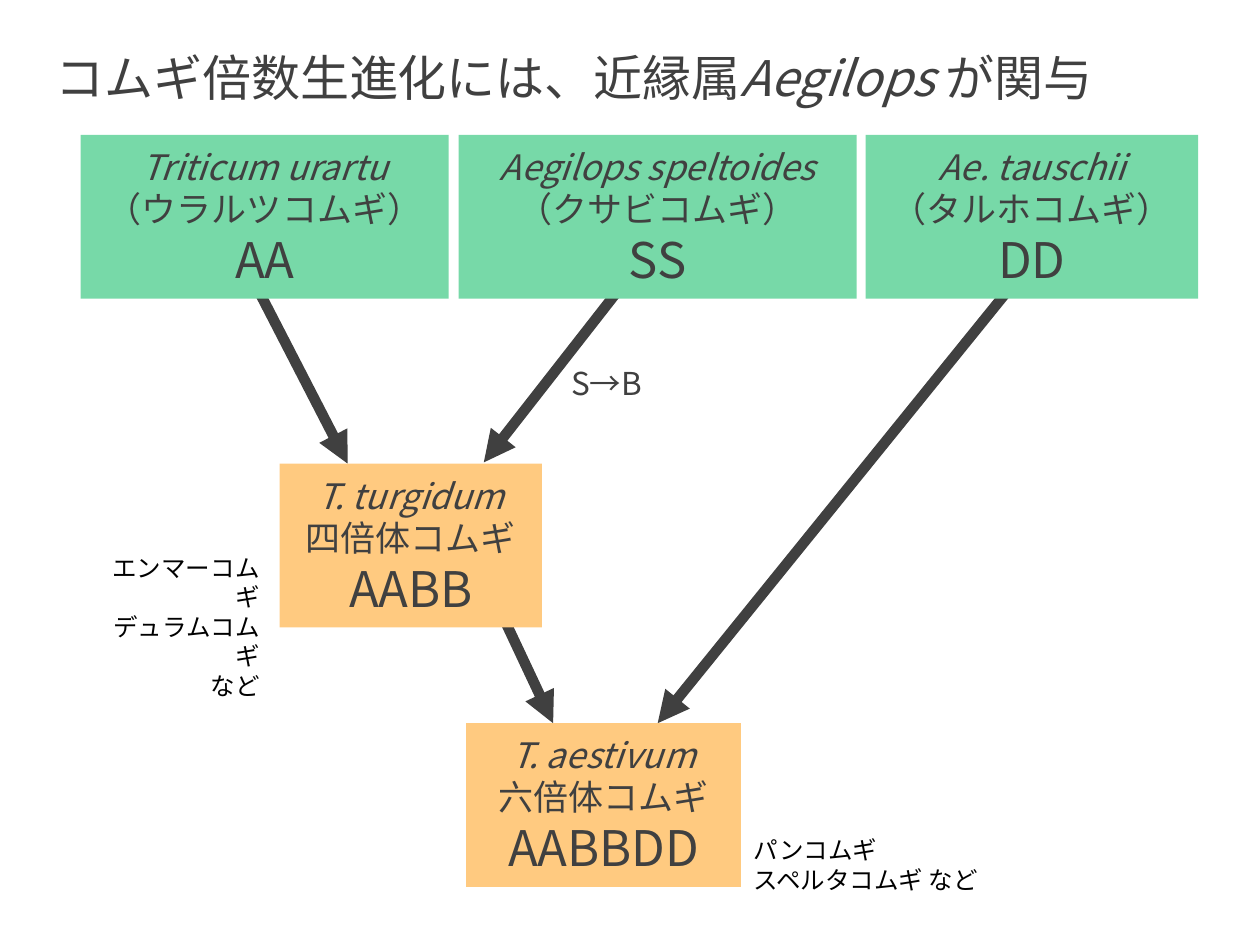
from lxml import etree
from pptx import Presentation
from pptx import util as u
from pptx.dml import color
from pptx.enum import shapes, text
from pptx.oxml import ns

NOTO, DARK = "Noto Sans CJK JP", "404040"
GREEN, ORANGE = "77D9A8", "FFCA80"
LEFT, MID, RIGHT = text.PP_ALIGN.LEFT, text.PP_ALIGN.CENTER, text.PP_ALIGN.RIGHT


def rgb(code):
    """Turn a hex string into a colour."""
    return color.RGBColor.from_string(code)


def inch(box):
    """Turn plain numbers into lengths."""
    return [u.Inches(n) for n in box]


def add_run(para, words, size, ital=False, face=NOTO, tint=DARK):
    """Add one run in the given face to Latin and East Asian text."""
    run = para.add_run()
    run.text = words
    font = run.font
    font.size, font.italic, font.name = u.Pt(size), ital, face
    font.color.rgb = rgb(tint)
    east = etree.SubElement(font._element, ns.qn("a:ea"))
    east.set("typeface", face)


def fill_frame(frame, rows, align, **look):
    """Write rows of (words, size, italic) as paragraphs."""
    for i, row in enumerate(rows):
        para = frame.add_paragraph() if i else frame.paragraphs[0]
        para.alignment = align
        add_run(para, *row, **look)


def add_title(slide, box, parts):
    """Place the title and write its runs."""
    title = slide.shapes.title
    title.left, title.top, title.width, title.height = inch(box)
    frame = title.text_frame
    frame.auto_size = text.MSO_AUTO_SIZE.NONE
    frame.vertical_anchor = text.MSO_ANCHOR.TOP
    para = frame.paragraphs[0]
    para.alignment = LEFT
    for words, ital in parts:
        add_run(para, words, 28, ital)


def add_arrow(slide, start, end):
    """Draw a thick arrow between two points."""
    line = slide.shapes.add_connector(
        shapes.MSO_CONNECTOR.STRAIGHT, *inch(start + end))
    line.line.color.rgb = rgb(DARK)
    line.line.width = u.Pt(6)
    tip = etree.SubElement(line.line._get_or_add_ln(), ns.qn("a:tailEnd"))
    tip.set("type", "triangle")
    etree.SubElement(line._element.spPr, ns.qn("a:effectLst"))


def add_wheat(slide, box, tint, latin, name, genome):
    """Draw a species box with its names and genome."""
    rect = slide.shapes.add_shape(shapes.MSO_SHAPE.RECTANGLE, *inch(box))
    rect.shadow.inherit = False
    rect.fill.solid()
    rect.fill.fore_color.rgb = rgb(tint)
    rect.line.fill.background()
    frame = rect.text_frame
    frame.word_wrap = False
    frame.vertical_anchor = text.MSO_ANCHOR.MIDDLE
    frame.margin_left = frame.margin_right = u.Inches(0.2)
    frame.margin_top = frame.margin_bottom = u.Inches(0.08)
    fill_frame(frame, [(latin, 20, True), (name, 20), (genome, 28)], MID)


def add_note(slide, box, lines, size, align, **look):
    """Place a small label."""
    frame = slide.shapes.add_textbox(*inch(box)).text_frame
    frame.word_wrap = True
    fill_frame(frame, [(words, size) for words in lines], align, **look)


def main():
    """Build and save the slide."""
    deck = Presentation()
    deck.slide_width, deck.slide_height = u.Inches(10), u.Inches(7.5)
    slide = deck.slides.add_slide(deck.slide_layouts[5])
    add_title(slide, (0.34, 0.33, 9.5, 0.57), [
        ("コムギ倍数生進化には、近縁属", False), ("Aegilops ", True), ("が関与", False)])

    for start, end in [
        ((1.93, 2.07), (2.76, 3.68)),
        ((5.09, 2.07), (3.84, 3.67)),
        ((8.19, 2.07), (5.22, 5.74)),
        ((3.99, 4.89), (4.39, 5.74)),
    ]:
        add_arrow(slide, start, end)

    for left, top, width, tint, *names in [
        (0.64, 1.07, 2.92, GREEN, "Triticum urartu", "（ウラルツコムギ）", "AA"),
        (3.64, 1.07, 3.16, GREEN, "Aegilops speltoides", "（クサビコムギ）", "SS"),
        (6.87, 1.07, 2.64, GREEN, "Ae. tauschii", "（タルホコムギ）", "DD"),
        (2.22, 3.68, 2.08, ORANGE, "T. turgidum", "四倍体コムギ", "AABB"),
        (3.7, 5.74, 2.18, ORANGE, "T. aestivum", "六倍体コムギ", "AABBDD"),
    ]:
        add_wheat(slide, (left, top, width, 1.3), tint, *names)

    add_note(slide, (4.41, 2.84, 0.81, 0.4), ["S→B"], 18, MID)
    plain = {"face": "Calibri", "tint": "000000"}
    add_note(slide, (5.88, 6.58, 2.14, 0.57),
             ["パンコムギ", "スペルタコムギ など"], 14, LEFT, **plain)
    add_note(slide, (0.61, 4.34, 1.55, 0.81),
             ["エンマーコムギ", "デュラムコムギ", "など"], 14, RIGHT, **plain)
    deck.save("out.pptx")


if __name__ == "__main__":
    main()
